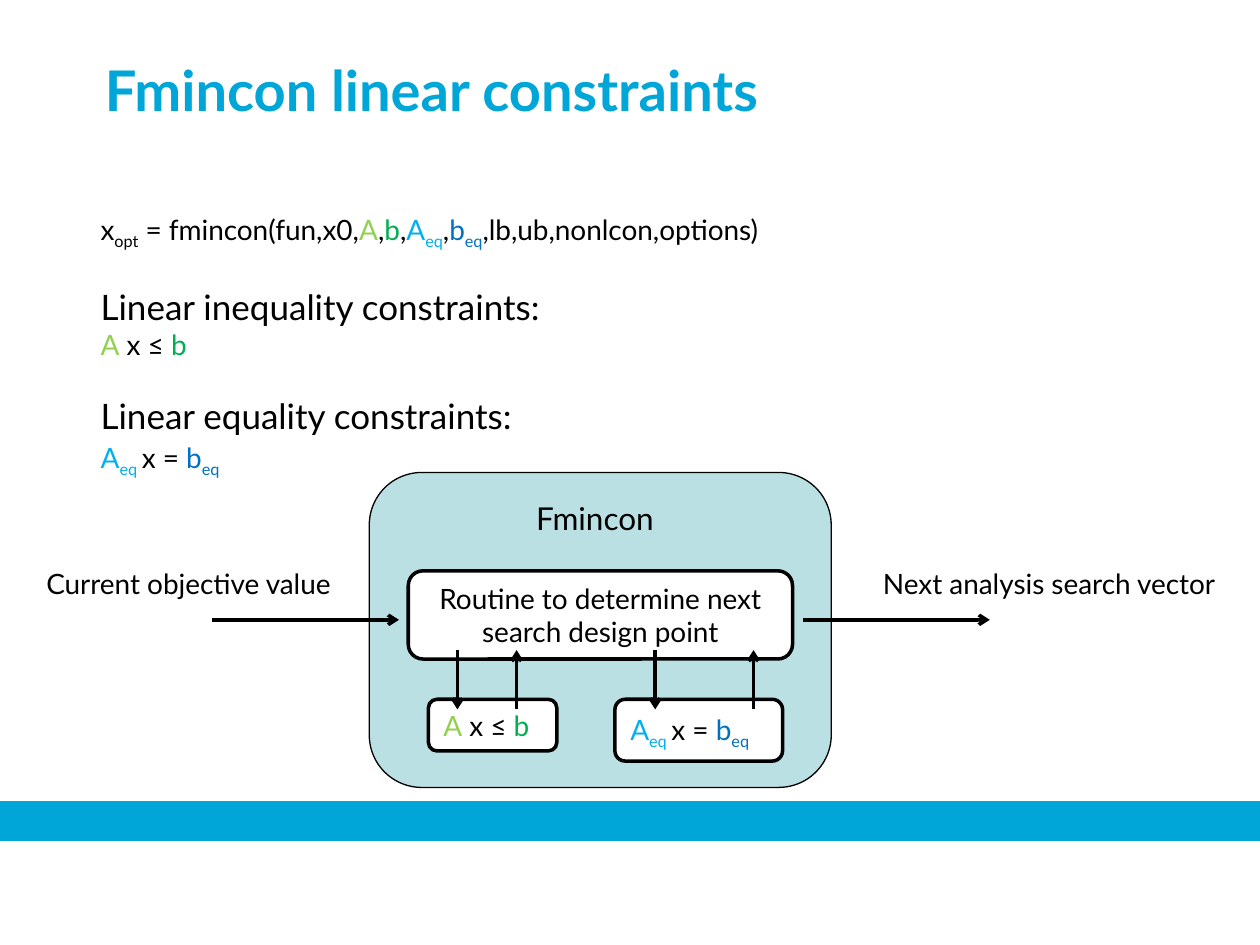
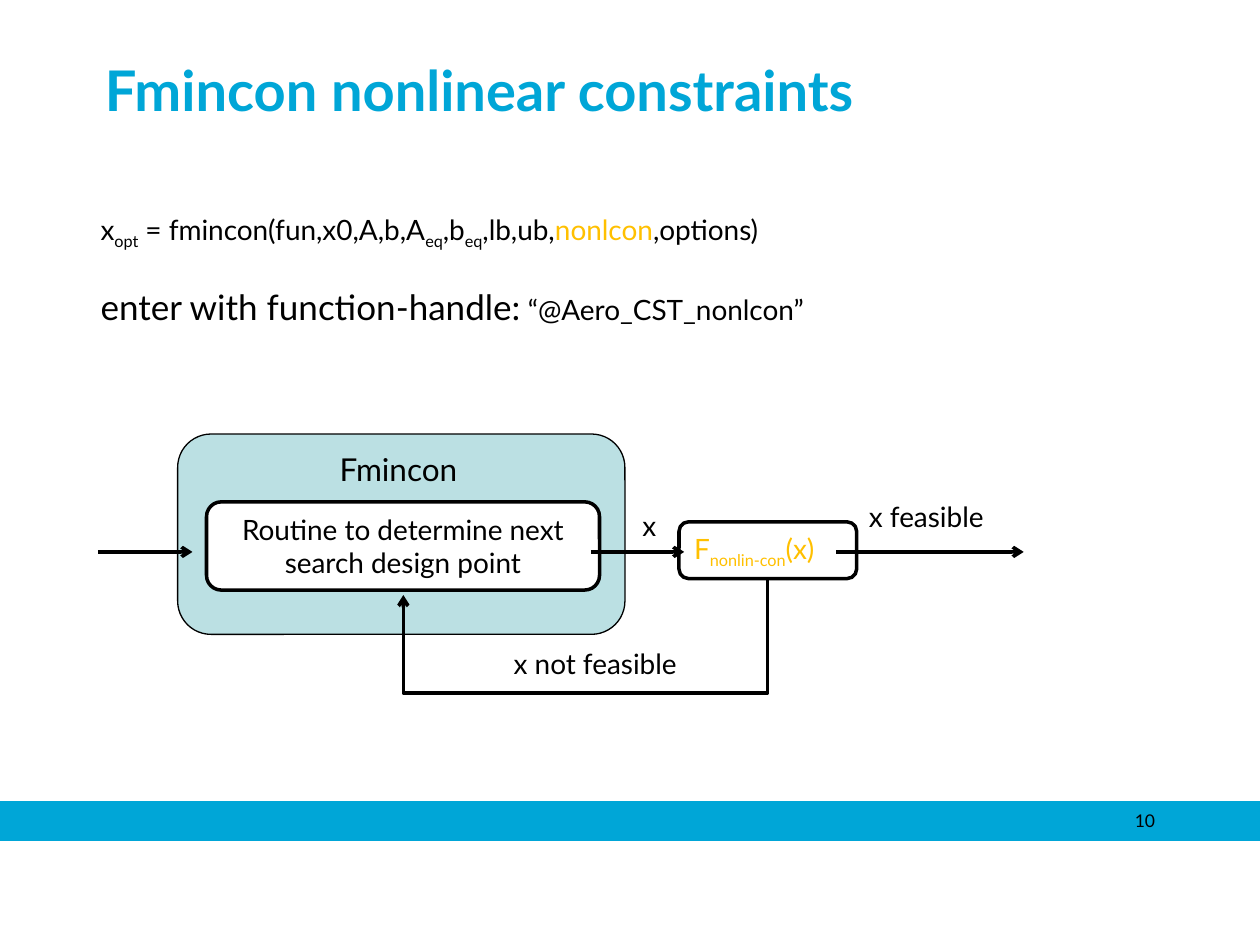
import dataclasses

import lxml.etree
import pptx
import pptx.dml.color
import pptx.enum.shapes
import pptx.enum.text
import pptx.oxml.ns
import pptx.util

Pt = pptx.util.Pt
SHAPE = pptx.enum.shapes.MSO_SHAPE
CONNECTOR = pptx.enum.shapes.MSO_CONNECTOR
ALIGN = pptx.enum.text.PP_ALIGN
ANCHOR = pptx.enum.text.MSO_ANCHOR


@dataclasses.dataclass(frozen=True)
class Theme:
    font: str = "Lato"
    brand: str = "00A6D7"
    ink: str = "000000"
    paper: str = "FFFFFF"
    panel: str = "BBE0E3"
    lime: str = "92D050"
    green: str = "00B050"
    sky: str = "00B0F0"
    blue: str = "0070C0"
    amber: str = "FFC000"
    title: int = 32
    heading: int = 20
    caption: int = 18
    text: int = 16
    page: int = 10
    hairline: float = 0.75
    stroke: float = 2
    gap: float = 19.5


THEME = Theme()


@dataclasses.dataclass(frozen=True)
class Span:
    """A stretch of text in one style."""
    text: str
    color: str = THEME.ink
    size: int = THEME.text
    sub: bool = False
    bold: bool = False


@dataclasses.dataclass(frozen=True)
class Box:
    left: float
    top: float
    width: float
    height: float

    def inner(self, dx, dy, width, height):
        return Box(self.left + dx, self.top + dy, width, height)

    def point(self, dx, dy):
        return self.left + dx, self.top + dy

    def lengths(self):
        return [Pt(v) for v in (self.left, self.top, self.width, self.height)]


def indexed(letter, index, color=THEME.ink):
    return [Span(letter, color), Span(index, color, sub=True)]


# Expressions that appear in both the text and the diagrams
INEQUALITY = [Span("A", THEME.lime), Span(" x ≤ "), Span("b", THEME.green)]
EQUALITY = [*indexed("A", "eq", THEME.sky),
            Span(" ", THEME.sky, THEME.caption, sub=True), Span("x = "),
            *indexed("b", "eq", THEME.blue)]
X_OPT = indexed("x", "opt")


# Basic parts
def rgb(color):
    return pptx.dml.color.RGBColor.from_string(color)


def write(frame, paragraphs, align=ALIGN.LEFT, anchor=ANCHOR.TOP, side=7.2):
    """Fill a frame with (spans, space before) paragraphs."""
    frame.word_wrap = True
    frame.vertical_anchor = anchor
    frame.margin_left = frame.margin_right = Pt(side)
    frame.margin_top = frame.margin_bottom = Pt(3.6)
    for number, (spans, space) in enumerate(paragraphs):
        line = frame.add_paragraph() if number else frame.paragraphs[0]
        line.alignment = align
        line.space_before = Pt(space)
        for span in spans:
            run = line.add_run()
            run.text = span.text
            run.font.name = THEME.font
            run.font.size = Pt(span.size)
            run.font.bold = span.bold
            run.font.color.rgb = rgb(span.color)
            if span.sub:
                run.font._element.set("baseline", "-25000")


def add_text(slide, box, paragraphs, **layout):
    write(slide.shapes.add_textbox(*box.lengths()).text_frame, paragraphs, **layout)


def add_label(slide, box, words, size=THEME.text, **layout):
    add_text(slide, box, [([Span(words, size=size)], 0)], **layout)


def add_block(slide, kind, box, fill, line, weight):
    block = slide.shapes.add_shape(kind, *box.lengths())
    block.shadow.inherit = False
    block.fill.solid()
    block.fill.fore_color.rgb = rgb(fill)
    block.line.color.rgb = rgb(line)
    block.line.width = Pt(weight)
    return block


def add_step(slide, box, spans, align=ALIGN.LEFT):
    step = add_block(slide, SHAPE.ROUNDED_RECTANGLE, box, THEME.paper, THEME.ink, THEME.stroke)
    write(step.text_frame, [(spans, 0)], align, ANCHOR.MIDDLE)


def add_arrow(slide, start, end, kind=CONNECTOR.STRAIGHT):
    arrow = slide.shapes.add_connector(kind, *[Pt(v) for v in (*start, *end)])
    arrow.line.color.rgb = rgb(THEME.ink)
    arrow.line.width = Pt(THEME.stroke)
    qn = pptx.oxml.ns.qn
    lxml.etree.SubElement(arrow.line._get_or_add_ln(), qn("a:tailEnd"), type="arrow")
    lxml.etree.SubElement(arrow._element.spPr, qn("a:effectLst"))
    return arrow


def add_return_arrow(slide, start, end, bottom):
    """Go down from start to bottom, across, and up to end."""
    rise, span = end[1] - start[1], start[0] - end[0]
    x, y = (start[0] + end[0]) / 2, (start[1] + end[1]) / 2
    # The elbow is laid out sideways, then turned a quarter about its centre
    arrow = add_arrow(slide, (x - rise / 2, y - span / 2),
                      (x + rise / 2, y + span / 2), CONNECTOR.ELBOW)
    qn = pptx.oxml.ns.qn
    properties = arrow._element.spPr
    properties.find(qn("a:xfrm")).set("rot", "5400000")
    guides = properties.find(qn("a:prstGeom")).get_or_add_avLst()
    bend = round((bottom - start[1]) / rise * 100000)
    lxml.etree.SubElement(guides, qn("a:gd"), name="adj1", fmla=f"val {bend}")


# Regions
def add_frame(deck, title, page=None):
    """Start a slide with its band, title and optional page number."""
    slide = deck.slides.add_slide(deck.slide_layouts[6])
    band = Box(0, 458, 720, 22.3)
    add_block(slide, SHAPE.RECTANGLE, band, THEME.brand, THEME.brand, THEME.hairline)
    add_text(slide, Box(60, 28, 612, 90),
             [([Span(title, THEME.brand, THEME.title, bold=True)], 0)], side=0)
    if page:
        add_label(slide, band.inner(510, 1.4, 150, 18), page, THEME.page,
                  align=ALIGN.RIGHT, side=0)
    return slide


def add_optimizer(slide, panel, caption, routine):
    """Draw the Fmincon panel with its caption and search routine."""
    add_block(slide, SHAPE.ROUNDED_RECTANGLE, panel, THEME.panel, THEME.ink, THEME.hairline)
    add_label(slide, caption, "Fmincon", THEME.caption, align=ALIGN.CENTER)
    add_step(slide, routine, [Span("Routine to determine next search design point")],
             ALIGN.CENTER)


def add_linear_diagram(slide, panel):
    add_optimizer(slide, panel, panel.inner(28, 11.5, 202, 29),
                  panel.inner(22.3, 56.2, 219.6, 50.4))
    # Constraint checks below the routine
    add_step(slide, panel.inner(33.8, 129.6, 73.4, 29.5), INEQUALITY)
    add_step(slide, panel.inner(140.4, 129.6, 95.8, 35.3), EQUALITY)
    upper, lower = 101.5, 135.4
    for down, up in ((50.4, 84.2), (163.4, 219.6)):
        add_arrow(slide, panel.point(down, upper), panel.point(down, lower))
        add_arrow(slide, panel.point(up, lower), panel.point(up, upper))
    # Input and output
    for start, label_left, width, words in (
            (-90, -191.6, 180, "Current objective value"),
            (247.6, 286.5, 208, "Next analysis search vector")):
        add_arrow(slide, panel.point(start, 84.2), panel.point(start + 107, 84.2))
        add_label(slide, panel.inner(label_left, 50.4, width, 46), words)


def add_nonlinear_diagram(slide, panel):
    add_optimizer(slide, panel, panel.inner(44.5, 5.5, 163.4, 29),
                  panel.inner(16.5, 38.8, 224.6, 50.4))
    # Feasibility check beside the panel
    add_step(slide, panel.inner(286.5, 50.2, 101.5, 32.4),
             [*indexed("F", "nonlin-con", THEME.amber), Span("(x)", THEME.amber)])
    # Flow from left to right, and the way back
    for start, end in ((-45.5, 8.5), (236.2, 289.5), (376.5, 483.5)):
        add_arrow(slide, panel.point(start, 67.4), panel.point(end, 67.4))
    add_return_arrow(slide, panel.point(337, 82), panel.point(129, 92),
                     panel.top + 148)
    for left, top, width, words in ((258.5, 38.8, 24, "x"),
                                    (185, 118, 119, "x not feasible"),
                                    (388, 33.7, 119, "x feasible")):
        add_label(slide, panel.inner(left, top, width, 26.6), words)


# Slides
def add_linear_slide(deck):
    slide = add_frame(deck, "Fmincon linear constraints")
    call = [*X_OPT, Span(" = fmincon(fun,x0,"),
            Span("A", THEME.lime), Span(","), Span("b", THEME.green), Span(","),
            *indexed("A", "eq", THEME.sky), Span(","),
            *indexed("b", "eq", THEME.blue), Span(",lb,ub,nonlcon,options)")]
    add_text(slide, Box(50.4, 118, 608, 181), [
        (call, 0),
        ([Span("Linear inequality constraints:", size=THEME.heading)], THEME.gap),
        (INEQUALITY, 0),
        ([Span("Linear equality constraints:", size=THEME.heading)], THEME.gap),
        (EQUALITY, 0)])
    add_linear_diagram(slide, Box(211, 270, 264, 180))


def add_nonlinear_slide(deck):
    slide = add_frame(deck, "Fmincon nonlinear constraints", "10")
    call = [*X_OPT, Span(" = fmincon(fun,x0,A,b,"), *indexed("A", "eq"),
            Span(","), *indexed("b", "eq"), Span(",lb,ub,"),
            Span("nonlcon", THEME.amber), Span(",options)")]
    handle = [Span("enter with function-handle:", size=THEME.heading),
              Span(" “@Aero_CST_nonlcon”")]
    add_text(slide, Box(50.4, 118, 512, 73), [(call, 0), (handle, THEME.gap)])
    add_nonlinear_diagram(slide, Box(101.5, 248, 255.6, 114.5))


def main():
    deck = pptx.Presentation()
    deck.slide_width, deck.slide_height = Pt(720), Pt(540)
    add_linear_slide(deck)
    add_nonlinear_slide(deck)
    deck.save("out.pptx")


if __name__ == "__main__":
    main()
